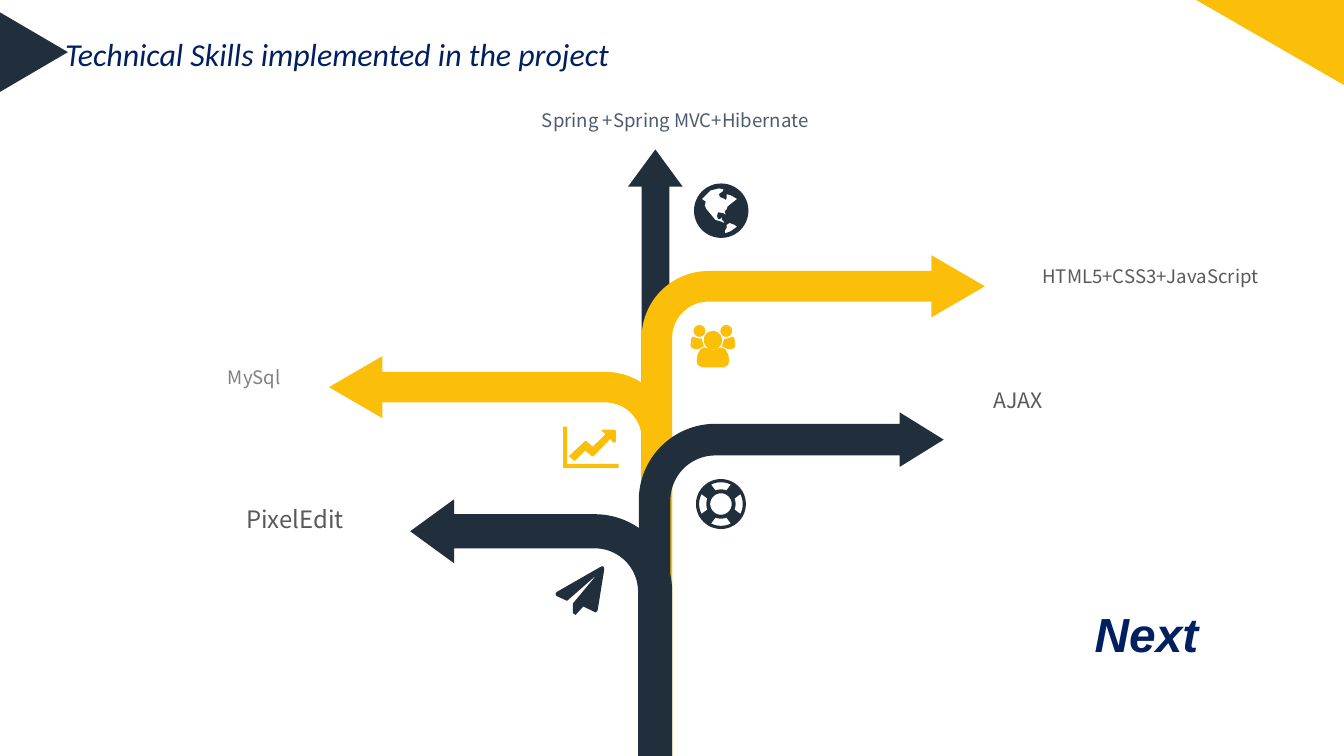
from math import cos, radians, sin

from pptx import Presentation
from pptx.dml.color import RGBColor
from pptx.enum.shapes import MSO_SHAPE as SHAPE
from pptx.enum.text import MSO_ANCHOR as ANCHOR, MSO_AUTO_SIZE as AUTOSIZE, PP_ALIGN as ALIGN
from pptx.util import Pt

WIDTH, HEIGHT = 1012, 569
DARK, YELLOW, NAVY, GRAY = "212E3C", "FBBF09", "002060", "595959"
LABEL_FONT = "Noto Sans CJK SC"

# Label, left, top, width, height, size, colour, alignment
LABELS = [
    ("PixelEdit", 126.7, 376.2, 190.8, 29.5, 18, GRAY, ALIGN.CENTER),
    ("HTML5+CSS3+JavaScript", 741.8, 195.8, 209.5, 41, 14, GRAY, ALIGN.RIGHT),
    ("AJAX", 744.5, 288, 187.9, 56.2, 16, GRAY, ALIGN.LEFT),
    ("Spring +Spring MVC+Hibernate", 346.3, 78.5, 266.4, 24.5, 14, "4E5B6F", ALIGN.RIGHT),
    ("MySql", 121, 272.2, 141.1, 24.5, 14, "808080", ALIGN.CENTER),
]

# Outer trunk edge, arrow axis y, thickness, bend radius, head base x, tip x, half head, colour
BRANCHES = [
    (483.1, 215.5, 23, 50.4, 701.3, 741.6, 23.4, YELLOW),
    (506.2, 291.4, 23, 50.4, 288, 247.7, 23.4, YELLOW),
    (481, 330.9, 23.8, 57.6, 677.5, 710.6, 20.5, DARK),
    (506.2, 399.9, 25.7, 58.3, 342, 308.9, 24.1, DARK),
]

PLANE = [
    (455, 428.4), (450, 459.4), (448.5, 461), (439.2, 456.5), (433.4, 462.8),
    (431.3, 461.5), (431.3, 454.3), (449.3, 432.7), (427, 452.2), (419, 448.6),
    (418.3, 447), (419, 445.7), (453, 426.2), (454.3, 426.2),
]
CHART_AXES = [(424.1, 321.1), (427, 321.1), (427, 349.2), (465.8, 349.2),
              (465.8, 352.1), (424.1, 352.1)]
CHART_TREND = [
    (463.7, 332.6), (462.2, 333.4), (459.4, 330.5), (447.1, 343.4), (445.7, 343.4),
    (440.6, 339.1), (432.7, 347), (428.4, 343.4), (440.6, 331.9), (441.4, 331.9),
    (446.4, 336.2), (455.8, 326.9), (452.9, 324), (453.6, 323.3), (462.2, 323.3),
    (463.7, 324),
]
NORTH_AMERICA = [
    (528.5, 149.8), (535, 143.3), (541.4, 141.8), (545, 142.6), (544.3, 144),
    (541.4, 146.2), (542.2, 148.3), (545.8, 149.8), (546.5, 150.5), (547.2, 149),
    (547.2, 146.2), (550.1, 146.9), (551.5, 147.6), (555.1, 149.8), (551.5, 152.6),
    (547.9, 155.5), (547.2, 157.7), (545.8, 159.1), (546.5, 162), (545, 160.6),
    (540.7, 159.8), (540, 162.7), (540.7, 164.9), (542.2, 164.9), (543.6, 163.4),
    (543.6, 165.6), (545, 166.3), (545, 168.5), (546.5, 169.9), (543.6, 167),
    (538.6, 165.6), (535.7, 162), (532.1, 157.7), (530.6, 154.8), (531.4, 151.9),
]
SOUTH_AMERICA = [
    (555.1, 170.6), (553, 169.2), (549.4, 167.8), (547.2, 169.2), (547.2, 171.4),
    (545.8, 173.5), (545.8, 175.7), (550.1, 174.2),
]
# Right half of the people icon, x measured from its axis
FRONT_BODY = [(0, 263.5), (6, 261.4), (9.5, 262.8), (11.6, 267), (12.2, 271.4),
              (11.5, 274.7), (8, 276.5)]
SIDE_BODY = [(13.3, 262.8), (11.2, 262.8), (6.8, 260.6), (8.3, 255.6), (8.3, 254.9),
             (10.4, 254.9), (14.8, 253.4), (16.2, 254.5), (16.9, 259.9), (16, 262)]


def rgb(hex_color):
    return RGBColor.from_string(hex_color)


def paint(sp, color):
    sp.shadow.inherit = False
    sp.fill.solid()
    sp.fill.fore_color.rgb = rgb(color)
    sp.line.fill.background()


def arc(cx, cy, r, start, end, steps=24):
    """Points on an arc; angles in degrees run clockwise from the right."""
    angles = [radians(start + (end - start) * i / steps) for i in range(steps + 1)]
    return [(cx + r * cos(a), cy + r * sin(a)) for a in angles]


def circle(cx, cy, r):
    return arc(cx, cy, r, 0, 360, 48)


def add_outline(slide, color, *contours):
    """Fill closed contours as one shape; a contour inside another is a hole."""
    builder = None
    for contour in contours:
        pts = [(Pt(x), Pt(y)) for x, y in contour]
        if builder is None:
            builder = slide.shapes.build_freeform(*pts[0], scale=1.0)
        else:
            builder.move_to(*pts[0])
        builder.add_line_segments(pts[1:], close=True)
    paint(builder.convert_to_shape(), color)


def write(sp, text, font=LABEL_FONT, size=14, color=GRAY, align=ALIGN.LEFT,
          anchor=ANCHOR.TOP, bold=False, italic=False, spacing=1.0):
    tf = sp.text_frame
    tf.word_wrap = True
    tf.auto_size = AUTOSIZE.NONE
    tf.vertical_anchor = anchor
    tf.margin_left = tf.margin_right = tf.margin_top = tf.margin_bottom = Pt(3.6)
    p = tf.paragraphs[0]
    p.alignment = align
    p.line_spacing = spacing
    p.space_before = Pt(0)
    r = p.add_run()
    r.text = text
    r.font.name, r.font.size = font, Pt(size)
    r.font.bold, r.font.italic = bold, italic
    r.font.color.rgb = rgb(color)


def add_text(slide, text, left, top, width, height, **fmt):
    sp = slide.shapes.add_textbox(Pt(left), Pt(top), Pt(width), Pt(height))
    write(sp, text, **fmt)


def add_title(slide, text):
    sp = slide.shapes.title
    sp.left, sp.top, sp.width, sp.height = Pt(45.4), Pt(7.9), Pt(480.2), Pt(35.3)
    write(sp, text, font="Calibri", size=24, color=NAVY, italic=True, spacing=1.5)


def add_corners(slide):
    sp = slide.shapes.add_shape(SHAPE.ISOSCELES_TRIANGLE, Pt(-4.3), Pt(13.7), Pt(59.8), Pt(51.1))
    sp.rotation = 90
    paint(sp, DARK)
    add_outline(slide, YELLOW, [(WIDTH, 0), (WIDTH, 64), (900.7, 0)])


def add_up_arrow(slide):
    left, right, base = 483.1, 504, 140.4
    add_outline(slide, DARK, [
        (473, base), (493.5, 112.5), (514, base), (right, base),
        (right, HEIGHT), (left, HEIGHT), (left, base)])


def add_branch(slide, outer, axis, thick, radius, base, tip, half_head, color):
    """Draw an arrow that rises along the trunk and bends towards its tip."""
    side, start = (1, 180) if tip > outer else (-1, 360)
    cx, cy = outer + side * radius, axis - thick / 2 + radius
    head = [(base, axis - thick / 2), (base, axis - half_head), (tip, axis),
            (base, axis + half_head), (base, axis + thick / 2)]
    add_outline(slide, color, [
        (outer, HEIGHT), *arc(cx, cy, radius, start, 270), *head,
        *arc(cx, cy, radius - thick, 270, start), (outer + side * thick, HEIGHT)])


def add_lifebuoy(slide, cx, cy):
    gaps = [arc(cx, cy, 16.4, a - 27, a + 27) + arc(cx, cy, 11, a + 22, a - 22)
            for a in range(0, 360, 90)]
    add_outline(slide, DARK, circle(cx, cy, 18.8), circle(cx, cy, 8.1), *gaps)


def add_people(slide, cx):
    def half(points, side):
        return [(cx + side * x, y) for x, y in points]

    body = half(FRONT_BODY, 1) + half(FRONT_BODY, -1)[::-1]
    add_outline(slide, YELLOW, circle(cx, 256, 6.9), body)
    for side in (-1, 1):
        add_outline(slide, YELLOW, circle(cx + side * 10.1, 249.1, 4.4), half(SIDE_BODY, side))


def main():
    prs = Presentation()
    prs.slide_width, prs.slide_height = Pt(WIDTH), Pt(HEIGHT)
    slide = prs.slides.add_slide(prs.slide_layouts[5])
    add_corners(slide)
    add_title(slide, "Technical Skills implemented in the project")
    add_up_arrow(slide)
    for branch in BRANCHES:
        add_branch(slide, *branch)
    for text, left, top, width, height, size, color, align in LABELS:
        add_text(slide, text, left, top, width, height, size=size, color=color, align=align)
    add_outline(slide, DARK, PLANE)
    add_outline(slide, DARK, circle(543.1, 158.6, 20.5), NORTH_AMERICA, SOUTH_AMERICA)
    add_outline(slide, YELLOW, CHART_AXES, CHART_TREND)
    add_lifebuoy(slide, 542.9, 379.4)
    add_people(slide, 536.8)
    add_text(slide, "Next", 808.6, 452.9, 109.4, 48.2, font="Arial", size=36, color=NAVY,
             align=ALIGN.CENTER, anchor=ANCHOR.MIDDLE, bold=True, italic=True)
    prs.save("out.pptx")


if __name__ == "__main__":
    main()
